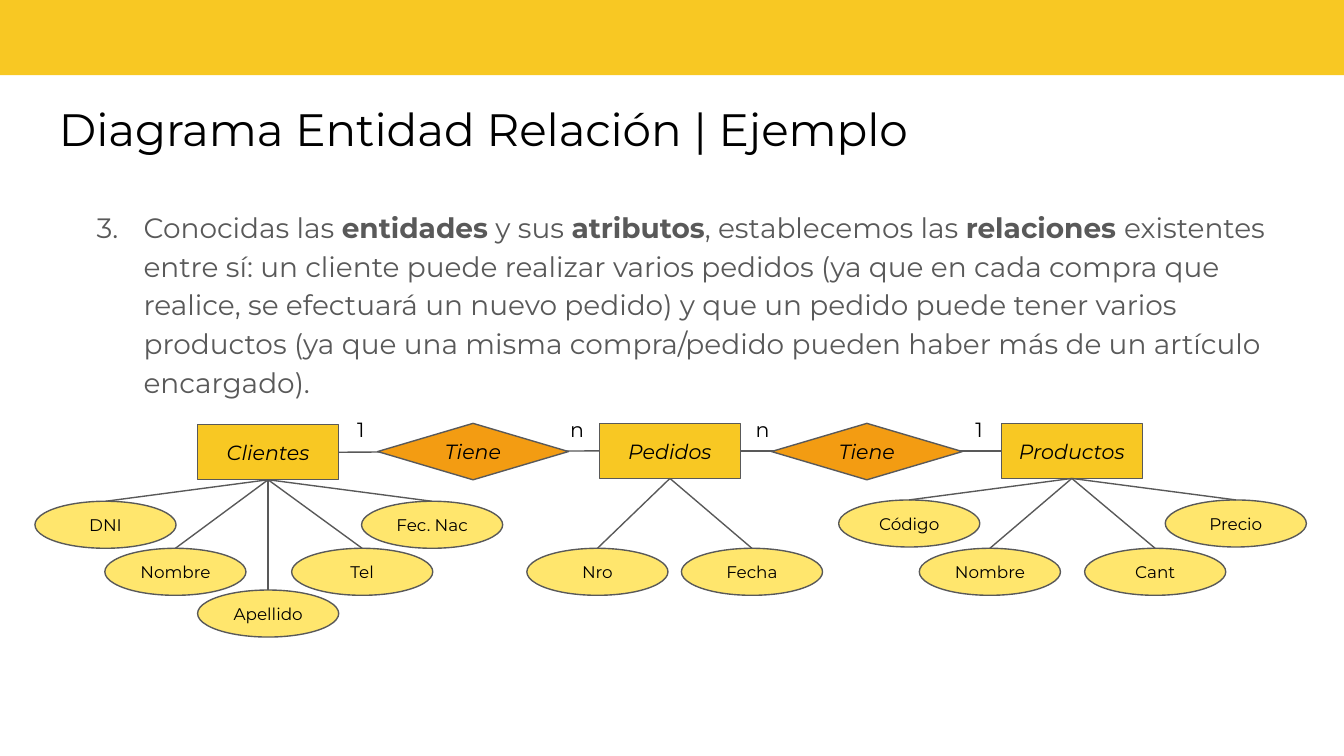
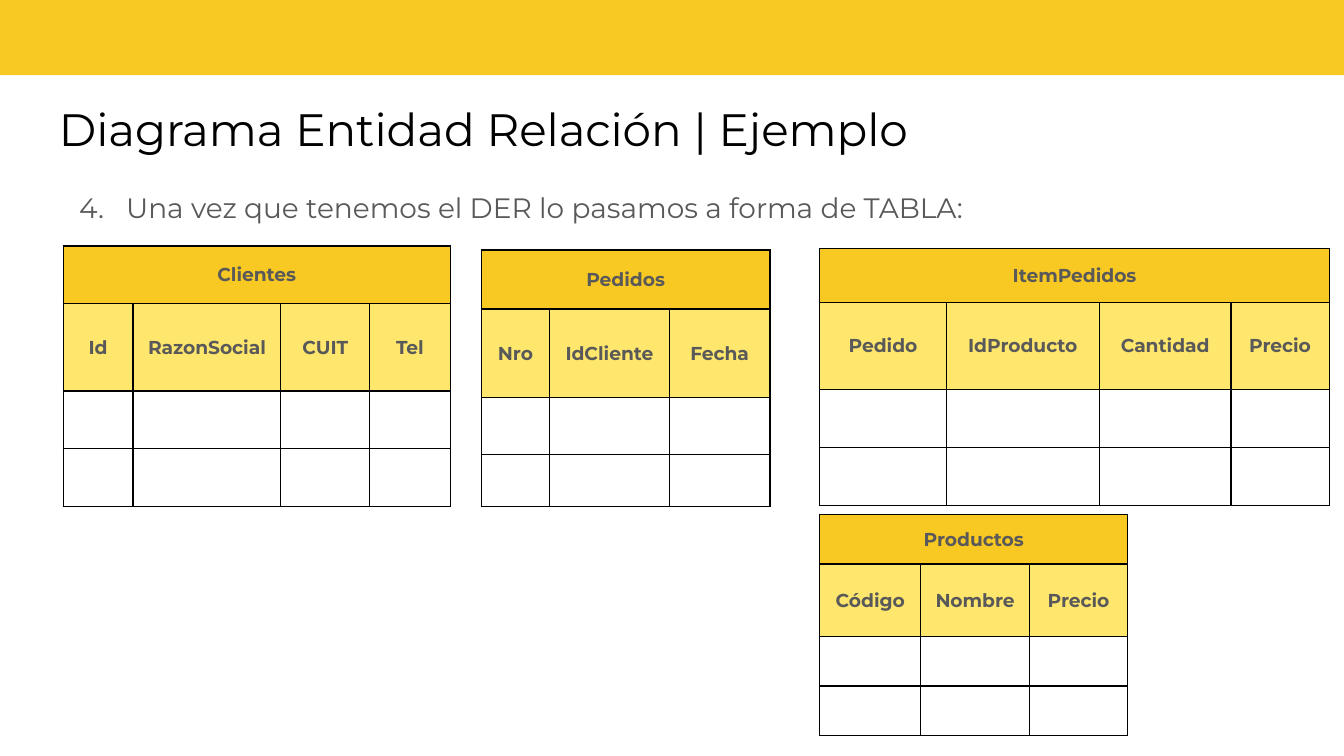
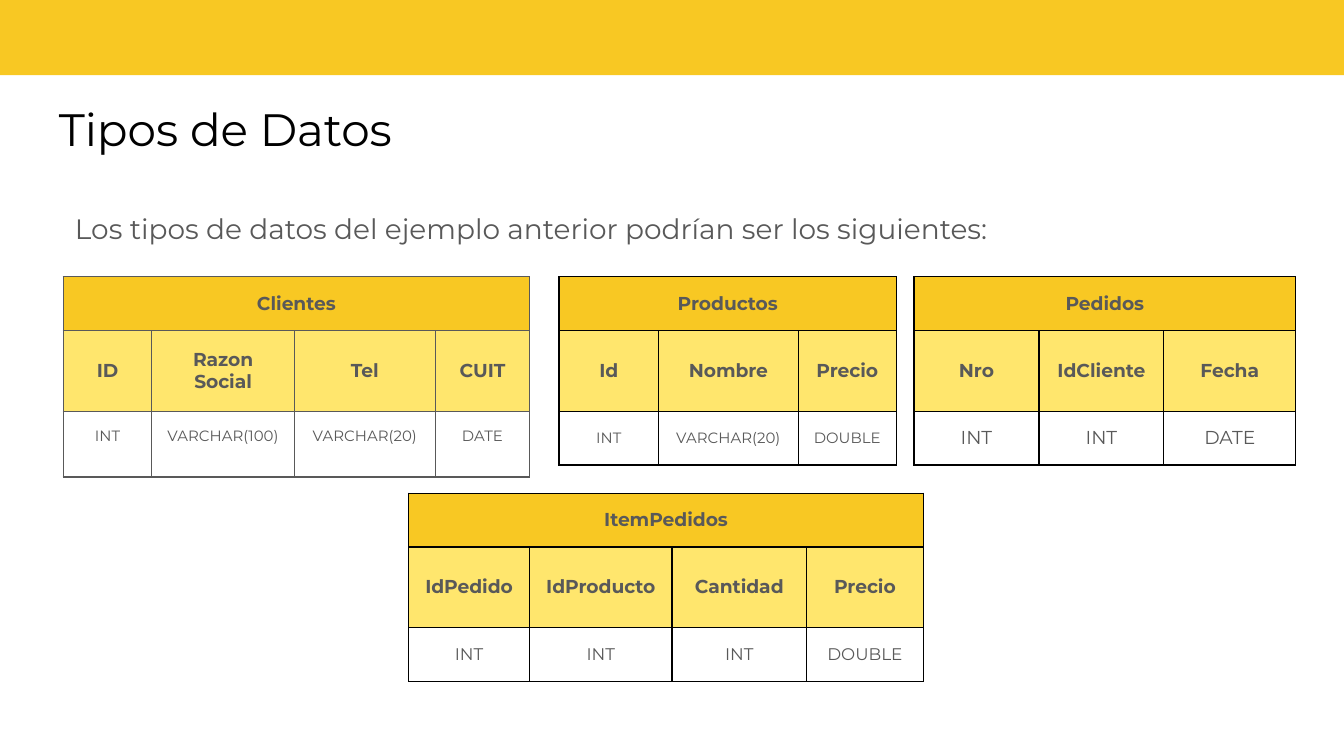
from dataclasses import dataclass

from lxml import etree
from pptx import Presentation
from pptx import util as u
from pptx.dml.color import RGBColor
from pptx.enum import shapes, text
from pptx.oxml.ns import qn

Inches, Pt = u.Inches, u.Pt


@dataclass(frozen=True)
class Theme:
    font: str = "Montserrat"
    gold: str = "F8C823"
    pale: str = "FFE66D"
    orange: str = "F39C12"
    gray: str = "595959"
    black: str = "000000"
    title: float = 24.3
    body: float = 15
    entity: float = 11
    attribute: float = 9
    table: float = 10
    small: float = 8
    line: float = 0.75
    inset: float = 0.1


T = Theme()
MIDDLE, TOP = text.MSO_ANCHOR.MIDDLE, text.MSO_ANCHOR.TOP
LEFT, CENTER = text.PP_ALIGN.LEFT, text.PP_ALIGN.CENTER
SIDE_TOP, SIDE_LEFT, SIDE_BOTTOM, SIDE_RIGHT = range(4)

ER_TITLE = "Diagrama Entidad Relación | Ejemplo"
RELATIONS_STEP = (
    "Conocidas las **entidades** y sus **atributos**, establecemos las **relaciones **"
    "existentes entre sí: un cliente puede realizar varios pedidos (ya que en cada compra "
    "que realice, se efectuará un nuevo pedido) y que un pedido puede tener varios productos "
    "(ya que una misma compra/pedido pueden haber más de un artículo encargado)."
)
TABLES_STEP = "Una vez que tenemos el DER lo pasamos a forma de TABLA:"
TYPES_INTRO = "Los tipos de datos del ejemplo anterior podrían ser los siguientes:"

ENTITY_SIZE = (1.05, 0.41)
ATTRIBUTE_SIZE = (1.05, 0.35)
RELATION_SIZE = (1.42, 0.42)
CARDINALITY_SIZE = (0.33, 0.39)
DIAGRAM_TOP = 3.15
CARDINALITY_TOP = 3.01

ENTITIES = {
    "Clientes": (1.47, 3.16, [("Apellido", 0, 4.39), ("Nombre", -0.69, 4.08), ("Tel", 0.7, 4.08),
                              ("DNI", -1.21, 3.73), ("Fec. Nac", 1.22, 3.73)]),
    "Productos": (7.45, 3.15, [("Nombre", -0.61, 4.08), ("Cant", 0.62, 4.08),
                               ("Código", -1.21, 3.72), ("Precio", 1.22, 3.72)]),
    "Pedidos": (4.46, 3.15, [("Nro", -0.54, 4.08), ("Fecha", 0.61, 4.08)]),
}
RELATIONS = [
    ("Clientes", "1", "Tiene", 2.81, "n", "Pedidos"),
    ("Pedidos", "n", "Tiene", 5.74, "1", "Productos"),
]

EMPTY_TABLES = [
    dict(name="Clientes", at=(0.47, 1.83), widths=[0.52, 1.1, 0.66, 0.6],
         heights=[0.43, 0.65, 0.43, 0.43], fields=["Id", "RazonSocial", "CUIT", "Tel"]),
    dict(name="Productos", at=(6.1, 3.83), widths=[0.75, 0.81, 0.73],
         heights=[0.33, 0.54, 0.36, 0.36], fields=["Código", "Nombre", "Precio"]),
    dict(name="Pedidos", at=(3.58, 1.86), widths=[0.51, 0.89, 0.75],
         heights=[0.44, 0.66, 0.42, 0.39], fields=["Nro", "IdCliente", "Fecha"]),
    dict(name="ItemPedidos", at=(6.1, 1.85), widths=[0.94, 1.14, 0.98, 0.73],
         heights=[0.4, 0.65, 0.43, 0.43], fields=["Pedido", "IdProducto", "Cantidad", "Precio"]),
]
TYPED_TABLES = [
    dict(name="Clientes", at=(0.47, 2.06), widths=[0.66, 1.06, 1.05, 0.7],
         heights=[0.4, 0.6, 0.49], fields=["ID", "Razon\nSocial", "Tel", "CUIT"],
         types=["INT", "VARCHAR(100)", "VARCHAR(20)", "DATE"], border=T.gray,
         types_format=dict(size=T.small, anchor=TOP, spacing=1.15)),
    dict(name="Productos", at=(4.16, 2.06), widths=[0.74, 1.04, 0.73],
         heights=[0.4, 0.6, 0.4], fields=["Id", "Nombre", "Precio"],
         types=["INT", "VARCHAR(20)", "DOUBLE"], types_format=dict(size=T.small)),
    dict(name="Pedidos", at=(6.8, 2.06), widths=[0.93, 0.93, 0.98],
         heights=[0.4, 0.6, 0.4], fields=["Nro", "IdCliente", "Fecha"],
         types=["INT", "INT", "DATE"]),
    dict(name="ItemPedidos", at=(3.04, 3.67), widths=[0.9, 1.06, 1, 0.87],
         heights=[0.4, 0.6, 0.4], fields=["IdPedido", "IdProducto", "Cantidad", "Precio"],
         types=["INT", "INT", "INT", "DOUBLE"], types_format=dict(size=T.attribute)),
]


def rgb(color):
    return RGBColor.from_string(color)


def inches(*lengths):
    return [Inches(length) for length in lengths]


def number_paragraph(paragraph, start):
    props = paragraph._p.get_or_add_pPr()
    props.set("marL", str(Inches(0.5)))
    props.set("indent", str(Inches(-0.35)))
    color = etree.SubElement(props, qn("a:buClr"))
    etree.SubElement(color, qn("a:srgbClr"), val=T.gray)
    etree.SubElement(props, qn("a:buFont"), typeface=T.font)
    etree.SubElement(props, qn("a:buAutoNum"), type="arabicPeriod", startAt=str(start))


def write(frame, content, size, color=T.black, bold=False, italic=False,
          align=LEFT, spacing=None, number=None):
    frame.word_wrap = True
    for i, line in enumerate(content.split("\n")):
        paragraph = frame.add_paragraph() if i else frame.paragraphs[0]
        if number:
            number_paragraph(paragraph, number)
        paragraph.alignment = align
        if spacing:
            paragraph.line_spacing = spacing
        for j, piece in enumerate(line.split("**")):
            if piece:
                run = paragraph.add_run()
                run.text = piece
                run.font.name, run.font.size = T.font, Pt(size)
                run.font.bold, run.font.italic = bold or j % 2 == 1, italic
                run.font.color.rgb = rgb(color)
        if not line:
            etree.SubElement(paragraph._p, qn("a:endParaRPr"), sz=str(int(size * 100)))


def set_insets(box):
    box.margin_left = box.margin_right = box.margin_top = box.margin_bottom = Inches(T.inset)


def add_text(slide, box, content, size, **format):
    frame = slide.shapes.add_textbox(*inches(*box)).text_frame
    set_insets(frame)
    write(frame, content, size, **format)


def add_node(container, kind, box, fill, label="", size=T.entity, italic=False, outlined=True):
    node = container.shapes.add_shape(kind, *inches(*box))
    node.shadow.inherit = False
    node.fill.solid()
    node.fill.fore_color.rgb = rgb(fill)
    if outlined:
        node.line.color.rgb = rgb(T.gray)
        node.line.width = Pt(T.line)
    else:
        node.line.fill.background()
    if label:
        set_insets(node.text_frame)
        node.text_frame.vertical_anchor = MIDDLE
        write(node.text_frame, label, size, italic=italic, align=CENTER)
    return node


def join(container, start, start_side, end, end_side):
    link = container.shapes.add_connector(shapes.MSO_CONNECTOR.STRAIGHT,
                                          start.left, start.top, end.left, end.top)
    link.begin_connect(start, start_side)
    link.end_connect(end, end_side)
    link.line.color.rgb = rgb(T.gray)
    link.line.width = Pt(T.line)
    etree.SubElement(link._element.spPr, qn("a:effectLst"))


def add_entity(slide, name, left, top, attributes):
    group = slide.shapes.add_group_shape()
    entity = add_node(group, shapes.MSO_SHAPE.RECTANGLE, (left, top, *ENTITY_SIZE),
                      T.gold, name, italic=True)
    ovals = [add_node(group, shapes.MSO_SHAPE.OVAL, (left + offset, oval_top, *ATTRIBUTE_SIZE),
                      T.pale, attribute, T.attribute)
             for attribute, offset, oval_top in attributes]
    for oval in ovals:
        join(group, oval, SIDE_TOP, entity, SIDE_BOTTOM)
    return entity


def add_relation(slide, entities, source, source_count, verb, left, target_count, target):
    join(slide, entities[source], SIDE_RIGHT, entities[target], SIDE_LEFT)
    add_node(slide, shapes.MSO_SHAPE.DIAMOND, (left, DIAGRAM_TOP, *RELATION_SIZE),
             T.orange, verb, italic=True)
    source_left = ENTITIES[source][0] + ENTITY_SIZE[0]
    target_left = ENTITIES[target][0] - CARDINALITY_SIZE[0]
    for count, count_left in ((source_count, source_left), (target_count, target_left)):
        add_text(slide, (count_left, CARDINALITY_TOP, *CARDINALITY_SIZE), count,
                 T.entity, align=CENTER)


def set_borders(cell, color):
    props = cell._tc.get_or_add_tcPr()
    for i, side in enumerate(("a:lnL", "a:lnR", "a:lnT", "a:lnB")):
        border = etree.Element(qn(side), w=str(Pt(T.line)))
        fill = etree.SubElement(border, qn("a:solidFill"))
        etree.SubElement(fill, qn("a:srgbClr"), val=color)
        props.insert(i, border)


def fill_cell(cell, content, border, fill=None, size=T.table, anchor=MIDDLE, **format):
    set_insets(cell)
    cell.vertical_anchor = anchor
    if fill:
        cell.fill.solid()
        cell.fill.fore_color.rgb = rgb(fill)
    else:
        cell.fill.background()
    set_borders(cell, border)
    write(cell.text_frame, content, size, color=T.gray, align=CENTER, **format)


def add_entity_table(slide, name, at, widths, heights, fields, types=None,
                     border=T.black, types_format=None):
    frame = slide.shapes.add_table(len(heights), len(widths),
                                   *inches(*at, sum(widths), sum(heights)))
    table = frame.table
    table.first_row = table.horz_banding = False
    for column, width in zip(table.columns, widths):
        column.width = Inches(width)
    for row, height in zip(table.rows, heights):
        row.height = Inches(height)
    table.cell(0, 0).merge(table.cell(0, len(widths) - 1))
    blanks = [""] * len(fields)
    rows = [[name] + blanks[1:], fields] + [types or blanks] * (len(heights) - 2)
    formats = [dict(fill=T.gold, bold=True), dict(fill=T.pale, bold=True)]
    for r, contents in enumerate(rows):
        format = formats[r] if r < len(formats) else types_format or {}
        for c, content in enumerate(contents):
            fill_cell(table.cell(r, c), content, border, **format)


def add_slide(deck, title, body, body_box, number=None):
    slide = deck.slides.add_slide(deck.slide_layouts[6])
    add_node(slide, shapes.MSO_SHAPE.RECTANGLE, (-0.01, -0.05, 10.03, 0.61), T.gold,
             outlined=False)
    add_text(slide, (0.34, 0.65, 9.3, 0.63), title, T.title)
    add_text(slide, body_box, body, T.body, color=T.gray, spacing=1.15, number=number)
    return slide


def main():
    deck = Presentation()
    deck.slide_width = Inches(10)
    deck.slide_height = deck.slide_width * 9 // 16

    diagram = add_slide(deck, ER_TITLE, RELATIONS_STEP, (0.47, 1.43, 9.06, 3.63), number=3)
    entities = {name: add_entity(diagram, name, *layout) for name, layout in ENTITIES.items()}
    for relation in RELATIONS:
        add_relation(diagram, entities, *relation)

    tables = add_slide(deck, ER_TITLE, TABLES_STEP, (0.34, 1.28, 9.06, 3.84), number=4)
    for table in EMPTY_TABLES:
        add_entity_table(tables, **table)

    data_types = add_slide(deck, "Tipos de Datos", TYPES_INTRO, (0.46, 1.44, 9.06, 3.63))
    for table in TYPED_TABLES:
        add_entity_table(data_types, **table)

    deck.save("out.pptx")


if __name__ == "__main__":
    main()
